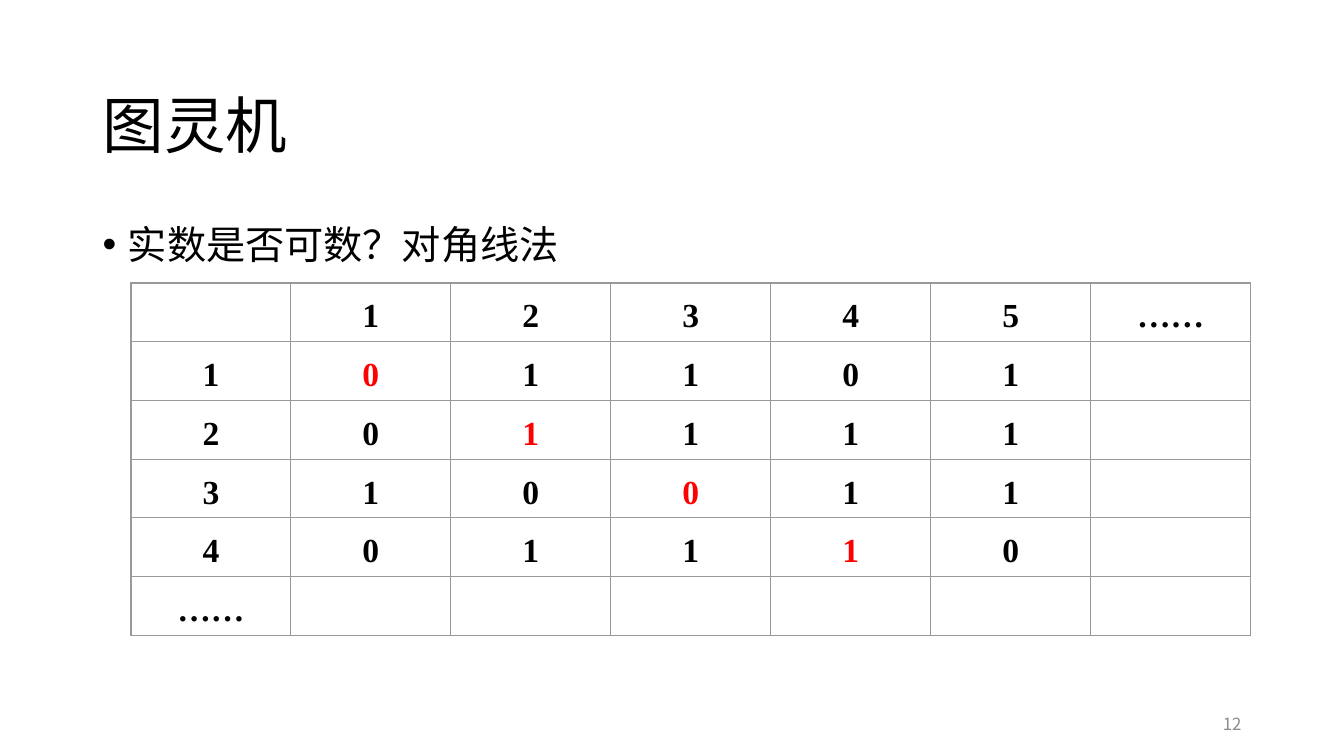
from dataclasses import dataclass

from lxml.etree import SubElement
from pptx import Presentation
from pptx.dml.color import RGBColor
from pptx.enum.text import MSO_ANCHOR as Anchor, MSO_AUTO_SIZE as AutoSize, PP_ALIGN as Align
from pptx.oxml.ns import qn
from pptx.util import Cm, Pt

SANS = "Noto Sans CJK SC"
SERIF = "Times New Roman"
LINE_SPACING = 1.3

HEADER = ["", "1", "2", "3", "4", "5", "……"]
DIGITS = ["01101", "01111", "10011", "01110"]


@dataclass(frozen=True)
class Box:
    left: float
    top: float
    width: float
    height: float

    def lengths(self) -> tuple:
        return Cm(self.left), Cm(self.top), Cm(self.width), Cm(self.height)


@dataclass(frozen=True)
class TextStyle:
    font: str
    size: int
    color: str = "000000"
    bold: bool = False
    align: Align = Align.LEFT


TITLE = TextStyle(SANS, 44)
BODY = TextStyle(SANS, 28)
NUMBER = TextStyle(SANS, 12, "8C8C8C", align=Align.RIGHT)
CELL = TextStyle(SERIF, 24, bold=True, align=Align.CENTER)
DIAGONAL = TextStyle(SERIF, 24, "FF0000", bold=True, align=Align.CENTER)


def rgb(value: str) -> RGBColor:
    return RGBColor.from_string(value)


def write(text_frame, text: str, style: TextStyle):
    """Fill the first paragraph and format it."""
    paragraph = text_frame.paragraphs[0]
    paragraph.text = text
    paragraph.alignment = style.align
    paragraph.line_spacing = LINE_SPACING
    font = paragraph.font
    font.name, font.size, font.bold = style.font, Pt(style.size), style.bold
    font.color.rgb = rgb(style.color)
    # East Asian characters take their own typeface
    properties = paragraph._p.pPr.find(qn("a:defRPr"))
    SubElement(properties, qn("a:ea"), typeface=style.font)
    return paragraph


def place(shape, box: Box, text: str, style: TextStyle, anchor: Anchor):
    """Position a text shape and write its text."""
    shape.left, shape.top, shape.width, shape.height = box.lengths()
    frame = shape.text_frame
    frame.word_wrap = True
    frame.auto_size = AutoSize.NONE
    frame.vertical_anchor = anchor
    return write(frame, text, style)


def add_bullet(paragraph, indent: float) -> None:
    properties = paragraph._p.pPr
    properties.set("marL", str(Cm(indent)))
    properties.set("indent", str(-Cm(indent)))
    bullet = SubElement(properties, qn("a:buChar"), char="•")
    properties.find(qn("a:defRPr")).addprevious(bullet)


def format_cell(cell, border: str) -> None:
    """Give a cell thin margins, grey borders and a white fill."""
    cell.margin_top = cell.margin_bottom = Cm(0.1)
    properties = cell._tc.get_or_add_tcPr()
    for side in ("lnL", "lnR", "lnT", "lnB"):
        line = SubElement(properties, qn(f"a:{side}"), w=str(Pt(1)))
        SubElement(SubElement(line, qn("a:solidFill")), qn("a:srgbClr"), val=border)
    cell.fill.solid()
    cell.fill.fore_color.rgb = rgb("FFFFFF")


def add_digit_table(slide, box: Box) -> None:
    rows = [HEADER]
    rows += [[str(number), *digits, ""] for number, digits in enumerate(DIGITS, 1)]
    rows.append(["……"] + [""] * (len(HEADER) - 1))
    table = slide.shapes.add_table(len(rows), len(HEADER), *box.lengths()).table
    table.first_row = table.horz_banding = False
    for row, texts in enumerate(rows):
        for column, text in enumerate(texts):
            cell = table.cell(row, column)
            format_cell(cell, "999999")
            if text:
                on_diagonal = row == column
                write(cell.text_frame, text, DIAGONAL if on_diagonal else CELL)


def main() -> None:
    presentation = Presentation()
    presentation.slide_width, presentation.slide_height = Cm(33.87), Cm(19.05)
    slide = presentation.slides.add_slide(presentation.slide_layouts[1])

    # Title and question
    title, body = slide.placeholders
    place(title, Box(2.33, 1.01, 29.21, 3.68), "图灵机", TITLE, Anchor.MIDDLE)
    question = place(body, Box(2.33, 5.07, 29.21, 12.09), "实数是否可数？对角线法", BODY, Anchor.TOP)
    question.space_before = Pt(10)
    add_bullet(question, 0.64)

    # Slide number
    number = slide.shapes.add_textbox(0, 0, 0, 0)
    place(number, Box(23.92, 17.66, 7.62, 1.01), "12", NUMBER, Anchor.MIDDLE)

    # Diagonal argument
    add_digit_table(slide, Box(3.3, 7.13, 28.22, 8.88))

    presentation.save("out.pptx")


if __name__ == "__main__":
    main()
